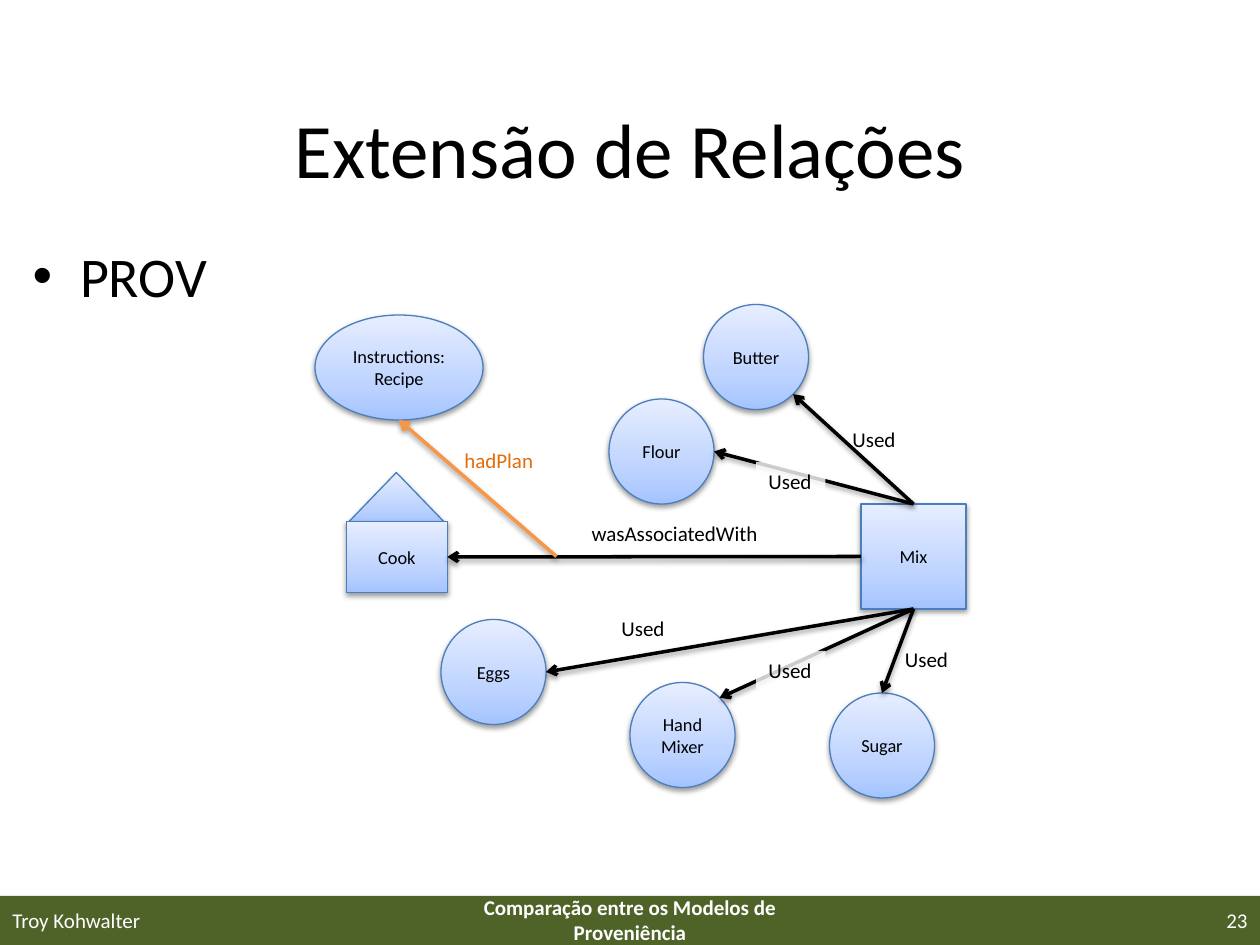
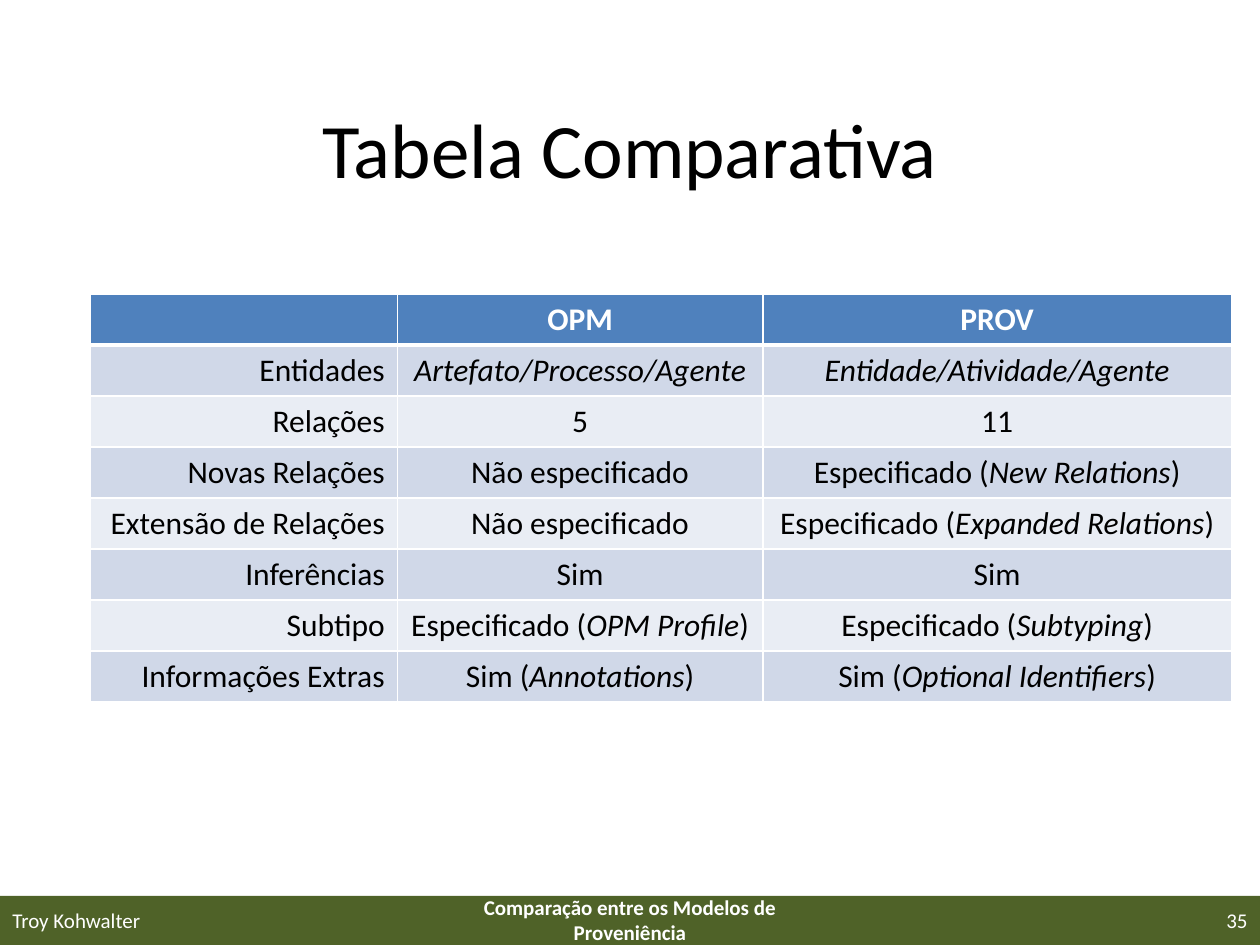
from pptx import Presentation
from pptx.dml.color import RGBColor
from pptx.enum.shapes import MSO_CONNECTOR, MSO_SHAPE
from pptx.enum.text import MSO_ANCHOR, PP_ALIGN
from pptx.oxml import parse_xml
from pptx.oxml.ns import nsdecls, qn
from pptx.util import Pt

RECT, OVAL, ROOF = MSO_SHAPE.RECTANGLE, MSO_SHAPE.OVAL, MSO_SHAPE.ISOSCELES_TRIANGLE
LEFT, MID, RIGHT = PP_ALIGN.LEFT, PP_ALIGN.CENTER, PP_ALIGN.RIGHT
TOP, CENTER = MSO_ANCHOR.TOP, MSO_ANCHOR.MIDDLE
FACE = "Calibri"
BLACK, WHITE, GREEN = "000000", "FFFFFF", "4F6228"
EDGE, ORANGE, RUST = "4B7EBC", "F79646", "E46C0A"
HEAD, BANDS = "4F81BD", ("D0D8E8", "E9EDF4")
STOPS = ((0, "A4C4FF"), (35, "BFD4FF"), (100, "E6EEFF"))
NS = nsdecls("a")

# Shared content: text, left, width, alignment, bold
AUTHOR = "Troy Kohwalter"
TALK = "Comparação entre os Modelos de Proveniência"

# Diagram: key -> shape, left, top, width, height, text
D = 60
NODES = {
    "mix": (RECT, 492, 288, D, D, "Mix"),
    "eggs": (OVAL, 252, 354, D, D, "Eggs"),
    "flour": (OVAL, 348, 228, D, D, "Flour"),
    "butter": (OVAL, 402, 174, D, D, "Butter"),
    "sugar": (OVAL, 474, 396, D, D, "Sugar"),
    "mixer": (OVAL, 360, 390, D, D, "Hand Mixer"),
    "recipe": (OVAL, 180, 180, 96, D, "Instructions: Recipe"),
    "roof": (ROOF, 198, 270, 57, 29.5, ""),
    "cook": (RECT, 198, 298, 57.6, 40.5, "Cook"),
}
# Points on a node as shares of its width and height
SIDES = {
    "top": (0.5, 0), "left": (0, 0.5), "bottom": (0.5, 1), "right": (1, 0.5),
    "low": (0.854, 0.854), "high": (0.854, 0.146),
}
LINKS = [
    ("mix", "left", "cook", "right"),
    ("mix", "bottom", "eggs", "right"),
    ("mix", "bottom", "sugar", "top"),
    ("mix", "top", "butter", "low"),
    ("mix", "top", "flour", "right"),
    ("mix", "bottom", "mixer", "high"),
]
PLAN = (318, 318)  # where the plan link leaves the cook link
# Labels: text, left, top, width, colour, alignment, veiled
LABELS = [
    ("wasAssociatedWith", 330, 294, 111, BLACK, MID, True),
    ("Used", 480, 240, 39.6, BLACK, LEFT, False),
    ("Used", 348, 348, 39.6, BLACK, LEFT, False),
    ("Used", 432, 264, 39.6, BLACK, LEFT, True),
    ("Used", 510, 366, 39.6, BLACK, LEFT, False),
    ("Used", 432, 372, 39.6, BLACK, LEFT, True),
    ("hadPlan", 258, 252, 54, RUST, MID, False),
]

# Table: underscores enclose italics
COLS = (175.7, 208.8, 267.8)
ROW = 29.16
ROWS = [
    ("", "OPM", "PROV"),
    ("Entidades", "_Artefato/Processo/Agente_", "_Entidade/Atividade/Agente_"),
    ("Relações", "5", "11"),
    ("Novas Relações", "Não especificado", "Especificado (_New Relations_)"),
    ("Extensão de Relações", "Não especificado", "Especificado (_Expanded Relations_)"),
    ("Inferências", "Sim", "Sim"),
    ("Subtipo", "Especificado (_OPM Profile_)", "Especificado (_Subtyping_)"),
    ("Informações Extras", "Sim (_Annotations_)", "Sim (_Optional Identifiers_)"),
]


def rgb(code):
    return RGBColor.from_string(code)


def pts(*nums):
    return [Pt(n) for n in nums]


def put(frame, text, size=12, color=BLACK, bold=False, align=MID, anchor=CENTER, wrap=True):
    frame.word_wrap = wrap
    frame.vertical_anchor = anchor
    para = frame.paragraphs[0]
    para.alignment = align
    para.space_before = Pt(0)
    for n, part in enumerate(text.split("_")):
        if part:
            run = para.add_run()
            run.text = part
            font = run.font
            font.name, font.size, font.bold = FACE, Pt(size), bold
            font.italic = n % 2 == 1
            font.color.rgb = rgb(color)


def cast(shape):
    """Give a shape or connector the soft shadow of the diagram."""
    shape.element.spPr.append(parse_xml(
        f'<a:effectLst {NS}><a:outerShdw blurRad="{Pt(3.1)}" dist="{Pt(1.6)}" dir="5400000" '
        f'rotWithShape="0"><a:srgbClr val="{BLACK}"><a:alpha val="38000"/></a:srgbClr>'
        '</a:outerShdw></a:effectLst>'))


def start(deck, layout, title, page):
    """Add a slide with its title, footer band and footer text."""
    slide = deck.slides.add_slide(deck.slide_layouts[layout])
    band = slide.shapes.add_shape(RECT, *pts(0, 512, 720, 28))
    band.shadow.inherit = False
    band.fill.solid()
    band.fill.fore_color.rgb = rgb(GREEN)
    band.line.fill.background()
    head = slide.shapes.title
    head.left, head.top, head.width, head.height = pts(36, 39.6, 648, 90)
    put(head.text_frame, title, size=44)
    for text, left, width, align, bold in (
            (AUTHOR, 0, 168, LEFT, False), (TALK, 246, 228, MID, True), (page, 552, 168, RIGHT, False)):
        box = slide.shapes.add_textbox(*pts(left, 511.2, width, 28.8))
        put(box.text_frame, text, color=WHITE, bold=bold, align=align)
    return slide


def node(slide, kind, left, top, width, height, text):
    shape = slide.shapes.add_shape(kind, *pts(left, top, width, height))
    shape.line.color.rgb = rgb(EDGE)
    shape.line.width = Pt(0.75)
    stops = "".join(f'<a:gs pos="{p * 1000}"><a:srgbClr val="{c}"/></a:gs>' for p, c in STOPS)
    shape.element.spPr.find(qn("a:prstGeom")).addnext(parse_xml(
        f'<a:gradFill {NS} rotWithShape="1"><a:gsLst>{stops}</a:gsLst>'
        '<a:lin ang="16200000" scaled="0"/></a:gradFill>'))
    cast(shape)
    put(shape.text_frame, text, size=10.5)


def spot(key, side):
    left, top, width, height = NODES[key][1:5]
    across, down = SIDES[side]
    return left + across * width, top + down * height


def link(slide, tail, tip, color=BLACK):
    line = slide.shapes.add_connector(MSO_CONNECTOR.STRAIGHT, *pts(*tail, *tip))
    line.line.color.rgb = rgb(color)
    line.line.width = Pt(2)
    line.element.spPr.find(qn("a:ln")).append(parse_xml(f'<a:tailEnd {NS} type="arrow"/>'))
    cast(line)


def label(slide, text, left, top, width, color, align, veiled):
    box = slide.shapes.add_textbox(*pts(left, top, width, 21.8))
    if veiled:
        box.fill.solid()
        box.fill.fore_color.rgb = rgb(WHITE)
        tint = box.element.spPr.find(qn("a:solidFill"))[0]
        tint.append(parse_xml(f'<a:alpha {NS} val="80000"/>'))
    put(box.text_frame, text, color=color, align=align, anchor=TOP, wrap=False)


def frame_cell(cell, row):
    """Draw white cell borders, thick under the header."""
    wide = {"L": 1, "R": 1, "T": 3 if row == 1 else 1, "B": 3 if row == 0 else 1}
    props = cell._tc.get_or_add_tcPr()
    for n, (side, width) in enumerate(wide.items()):
        props.insert(n, parse_xml(
            f'<a:ln{side} {NS} w="{Pt(width)}"><a:solidFill><a:srgbClr val="{WHITE}"/>'
            f'</a:solidFill></a:ln{side}>'))


def draw_graph(deck):
    slide = start(deck, 1, "Extensão de Relações", "23")
    body = slide.placeholders[1]
    body.left, body.top, body.width, body.height = pts(11.5, 134.6, 697.7, 371.5)
    put(body.text_frame, "PROV", size=32, align=LEFT, anchor=TOP)
    for spec_row in NODES.values():
        node(slide, *spec_row)
    for tail, exit_side, tip, entry in LINKS:
        link(slide, spot(tail, exit_side), spot(tip, entry))
    link(slide, PLAN, spot("recipe", "bottom"), ORANGE)
    for item in LABELS:
        label(slide, *item)


def draw_table(deck):
    slide = start(deck, 5, "Tabela Comparativa", "35")
    table = slide.shapes.add_table(
        len(ROWS), len(COLS), *pts(51.4, 168, sum(COLS), ROW * len(ROWS))).table
    for col, width in zip(table.columns, COLS):
        col.width = Pt(width)
    for r, texts in enumerate(ROWS):
        table.rows[r].height = Pt(ROW)
        for c, text in enumerate(texts):
            cell = table.cell(r, c)
            cell.fill.solid()
            cell.fill.fore_color.rgb = rgb(BANDS[(r - 1) % 2] if r else HEAD)
            frame_cell(cell, r)
            put(cell.text_frame, text, size=18, color=BLACK if r else WHITE, bold=r == 0,
                align=RIGHT if r and c == 0 else MID, anchor=TOP)


def main():
    deck = Presentation()
    deck.slide_width, deck.slide_height = pts(720, 540)
    draw_graph(deck)
    draw_table(deck)
    deck.save("out.pptx")


if __name__ == "__main__":
    main()
